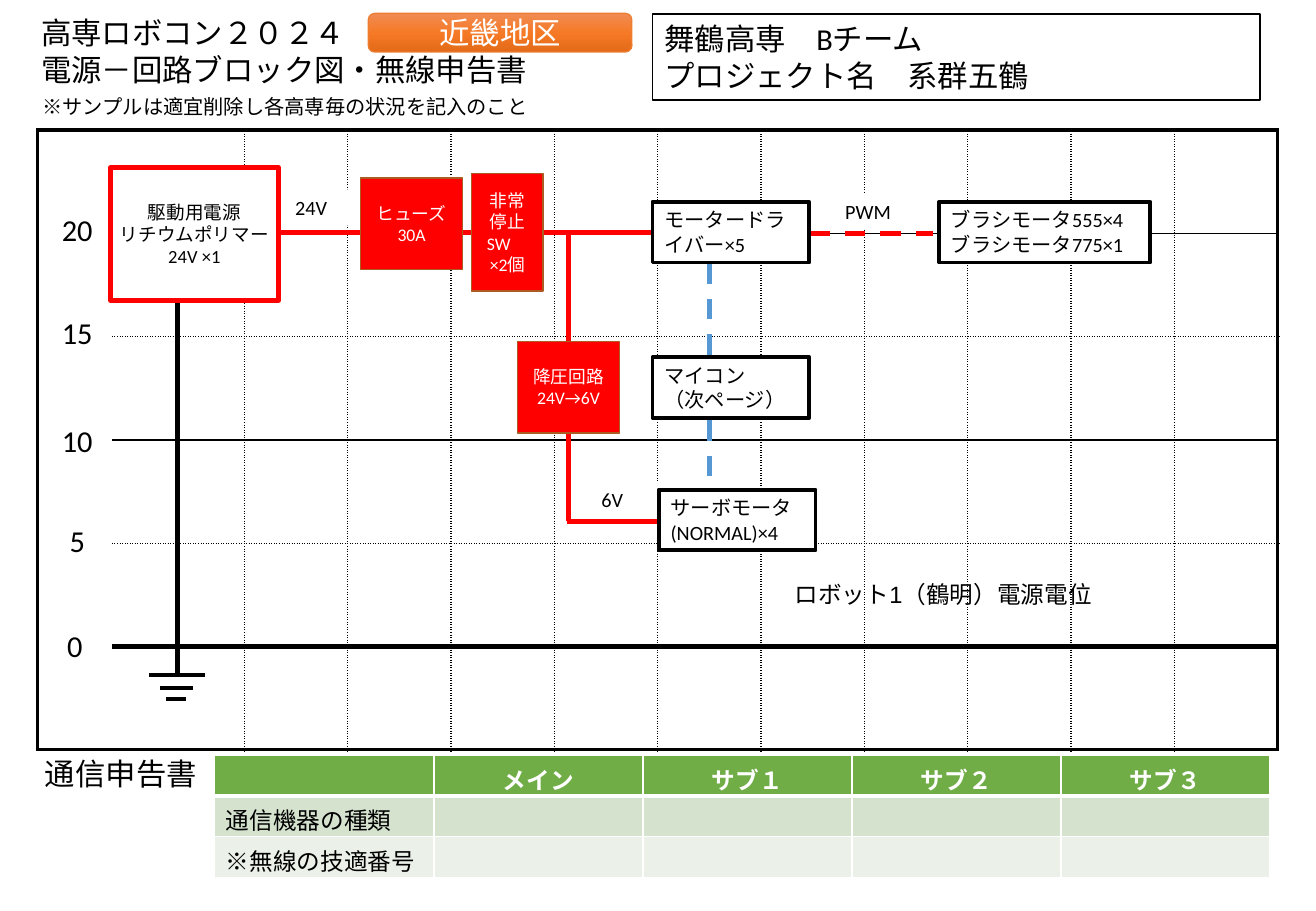
from copy import deepcopy
from lxml.etree import SubElement
from pptx import Presentation
from pptx.dml.color import RGBColor
from pptx.enum.dml import MSO_LINE
from pptx.enum.shapes import MSO_CONNECTOR, MSO_SHAPE
from pptx.enum.text import MSO_ANCHOR, PP_ALIGN
from pptx.oxml.ns import qn
from pptx.util import Cm, Pt

HUES = {
    "black": "000000", "white": "FFFFFF", "red": "FF0000", "rust": "AC5B23",
    "blue": "5698D3", "orange": "ED7D31", "top": "F08B54", "mid": "F67A26",
    "low": "E36A18", "green": "70AD47", "leaf": "D4E2CE", "mist": "EBF1E8",
}


def write(frame, text, size=12, font="Calibri", hue="black", bold=False,
          align=PP_ALIGN.LEFT):
    frame.text = text
    for para in frame.paragraphs:
        para.alignment = align
        for run in para.runs:
            run.font.size = Pt(size)
            run.font.name = font
            run.font.bold = bold
            run.font.color.rgb = RGBColor.from_string(HUES[hue])


def rule(cell, side, width, hue="black", dash="solid"):
    edge = SubElement(cell._tc.get_or_add_tcPr(), qn("a:ln" + side))
    if not width:
        SubElement(edge, qn("a:noFill"))
        return
    edge.set("w", str(Pt(width)))
    fill = SubElement(edge, qn("a:solidFill"))
    SubElement(fill, qn("a:srgbClr")).set("val", HUES[hue])
    SubElement(edge, qn("a:prstDash")).set("val", dash)


deck = Presentation()
deck.slide_width, deck.slide_height = Cm(27.51), Cm(19.05)
slide = deck.slides.add_slide(deck.slide_layouts[6])
shapes = slide.shapes

wides = [1.55, 2.77] + [2.16] * 10
grid = shapes.add_table(6, 12, Cm(0.79), Cm(2.72), Cm(sum(wides)), Cm(12.96)).table
grid.first_row = grid.horz_banding = False
for col, wide in zip(grid.columns, wides):
    col.width = Cm(wide)
flats = [(2.25, "solid"), (1, "solid"), (1, "sysDot"), (1, "solid"),
         (1, "sysDot"), (3, "solid"), (2.25, "solid")]
walls = [(2.25, "solid"), (0, "solid")] + [(1, "sysDot")] * 10 + [(2.25, "solid")]
for r, row in enumerate(grid.rows):
    row.height = Cm(2.16)
    for c, cell in enumerate(row.cells):
        for side, (width, dash) in (("L", walls[c]), ("R", walls[c + 1]),
                                    ("T", flats[r]), ("B", flats[r + 1])):
            inner = c == 0 and (side == "T" and r > 0 or side == "B" and r < 5)
            rule(cell, side, 0 if inner else width, dash=dash)
        cell.fill.solid()
        cell.fill.fore_color.rgb = RGBColor.from_string(HUES["white"])

wires = [
    (16.92, 4.88, 19.51, 4.88, "red", 3, True),
    (5.84, 4.87, 13.64, 4.87, "red", 3, False),
    (11.89, 10.9, 11.89, 4.88, "red", 3, False),
    (11.86, 10.9, 13.87, 10.9, "red", 3, False),
    (14.83, 5.51, 14.83, 7.44, "blue", 3, True),
    (14.83, 8.79, 14.83, 10.24, "blue", 3, True),
    (3.71, 6.27, 3.71, 14.12, "black", 3, False),
    (3.12, 14.12, 4.29, 14.12, "black", 2.25, False),
    (3.35, 14.38, 4.04, 14.38, "black", 2.25, False),
    (3.48, 14.61, 3.89, 14.61, "black", 2.25, False),
]
for x, y, x2, y2, hue, width, dash in wires:
    wire = shapes.add_connector(MSO_CONNECTOR.STRAIGHT, Cm(x), Cm(y), Cm(x2), Cm(y2))
    wire.line.color.rgb = RGBColor.from_string(HUES[hue])
    wire.line.width = Pt(width)
    if dash:
        wire.line.dash_style = MSO_LINE.DASH
    SubElement(wire._element.spPr, qn("a:effectLst"))

mid = {"align": PP_ALIGN.CENTER}
axis = {"size": 18, **mid}
part = {"size": 10.5, "hue": "white", **mid}
kinds = {
    "axis": ("white", None, 0, axis),
    "tag": ("white", None, 0, {}),
    "team": ("white", "black", 1, {"size": 18}),
    "unit": ("white", "black", 2.25, {}),
    "part": ("red", "rust", 1, part),
    "cell": ("white", "red", 3, {"size": 11, **mid}),
    "badge": (None, "orange", 0.75, {**axis, "hue": "white"}),
}
boxes = [
    ("20", 0.89, 4.29, 1.45, 1.02, "axis"),
    ("15", 0.89, 6.45, 1.45, 1.02, "axis"),
    ("10", 0.89, 8.69, 1.45, 1.02, "axis"),
    ("5", 0.89, 10.8, 1.45, 1.02, "axis"),
    ("0", 0.84, 12.98, 1.45, 1.02, "axis"),
    ("舞鶴高専　Bチーム\nプロジェクト名　系群五鶴", 13.64, 0.3, 12.7, 1.8, "team"),
    ("近畿地区", 7.7, 0.28, 5.51, 0.81, "badge"),
    ("24V", 5.92, 3.96, 1.55, 0.76, "tag"),
    ("PWM", 17.42, 4.04, 1.55, 0.76, "tag"),
    ("6V", 12.32, 10.06, 1.55, 0.76, "tag"),
    ("ヒューズ30A", 7.54, 3.73, 2.13, 1.91, "part"),
    ("非常停止SW　×2個", 9.86, 3.63, 1.5, 2.46, "part"),
    ("降圧回路\n24V→6V", 10.82, 7.14, 2.13, 1.91, "part"),
    ("駆動用電源\nリチウムポリマー\n24V ×1", 2.31, 3.51, 3.51, 2.77, "cell"),
    ("モータードライバー×5", 13.64, 4.22, 3.28, 1.27, "unit"),
    ("ブラシモータ555×4\nブラシモータ775×1", 19.63, 4.22, 4.42, 1.27, "unit"),
    ("マイコン\n（次ページ）", 13.64, 7.47, 3.28, 1.27, "unit"),
    ("サーボモータ(NORMAL)×4", 13.77, 10.24, 3.28, 1.27, "unit"),
]
for text, x, y, w, h, kind in boxes:
    fill, edge, width, form = kinds[kind]
    form_id = MSO_SHAPE.ROUNDED_RECTANGLE if kind == "badge" else MSO_SHAPE.RECTANGLE
    box = shapes.add_shape(form_id, Cm(x), Cm(y), Cm(w), Cm(h))
    box.shadow.inherit = False
    if fill:
        box.fill.solid()
        box.fill.fore_color.rgb = RGBColor.from_string(HUES[fill])
    else:
        box.fill.gradient()
        box.fill.gradient_angle = 270
        stops = box._element.spPr.find(qn("a:gradFill")).find(qn("a:gsLst"))
        stops.insert(1, deepcopy(stops[0]))
        for stop, hue, spot in zip(box.fill.gradient_stops, ("top", "mid", "low"),
                                   (0, 0.5, 1)):
            stop.color.rgb = RGBColor.from_string(HUES[hue])
            stop.position = spot
    if edge:
        box.line.color.rgb = RGBColor.from_string(HUES[edge])
        box.line.width = Pt(width)
    else:
        box.line.fill.background()
    frame = box.text_frame
    frame.word_wrap = True
    frame.vertical_anchor = MSO_ANCHOR.MIDDLE if "align" in form else MSO_ANCHOR.TOP
    if kind == "cell":
        frame.margin_left = frame.margin_right = Cm(0.1)
        frame.margin_top = frame.margin_bottom = Cm(0.05)
    write(frame, text, **form)

notes = [
    ("高専ロボコン２０２４\n電源－回路ブロック図・無線申告書", 0.61, 0.18, 10.67, 1.85, 18, "Calibri"),
    ("※サンプルは適宜削除し各高専毎の状況を記入のこと", 0.64, 1.85, 10.9, 0.76, 12, "Calibri"),
    ("通信申告書", 0.69, 15.67, 3.71, 1.02, 18, "Calibri"),
    ("ロボット1（鶴明）電源電位", 16.36, 12.01, 6.78, 0.86, 14, "Arial"),
]
for text, x, y, w, h, size, font in notes:
    frame = shapes.add_textbox(Cm(x), Cm(y), Cm(w), Cm(h)).text_frame
    frame.word_wrap = True
    write(frame, text, size=size, font=font)

rows = [
    ("green", ["", "メイン", "サブ１", "サブ２", "サブ３"]),
    ("leaf", ["通信機器の種類", "", "", "", ""]),
    ("mist", ["※無線の技適番号", "", "", "", ""]),
]
radio = shapes.add_table(3, 5, Cm(4.47), Cm(15.8), Cm(22.08), Cm(2.52)).table
for c, col in enumerate(radio.columns):
    col.width = Cm(4.37 if c else 4.6)
for r, (hue, texts) in enumerate(rows):
    radio.rows[r].height = Cm(0.84)
    for c, text in enumerate(texts):
        cell = radio.cell(r, c)
        for side in "LRTB":
            thick = (r, side) in ((0, "B"), (1, "T"))
            rule(cell, side, 3 if thick else 1, "white")
        cell.fill.solid()
        cell.fill.fore_color.rgb = RGBColor.from_string(HUES[hue])
        if text:
            write(cell.text_frame, text, size=14, font="Arial", bold=r == 0,
                  hue="black" if r else "white",
                  align=PP_ALIGN.LEFT if r else PP_ALIGN.CENTER)
        else:
            cell.margin_top = cell.margin_bottom = Cm(0)

deck.save("out.pptx")
